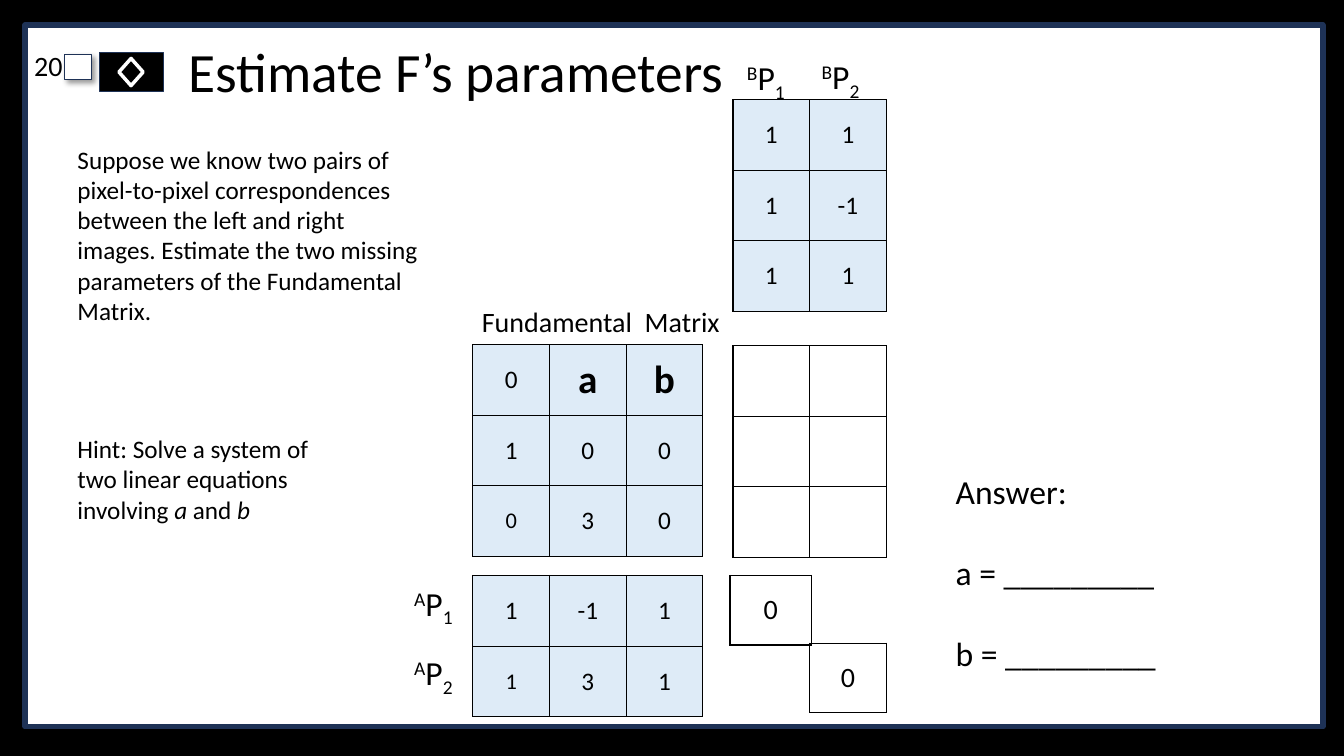
from lxml.etree import SubElement
from pptx import Presentation
from pptx.dml.color import RGBColor
from pptx.enum.shapes import MSO_SHAPE as Shape
from pptx.enum.text import MSO_ANCHOR as Anchor, MSO_AUTO_SIZE as AutoSize, PP_ALIGN as Align
from pptx.oxml.ns import qn
from pptx.util import Inches, Pt

BLACK, WHITE, NAVY, PALE = "000000", "FFFFFF", "1E3256", "DEEBF7"
FONT = "Calibri"
CELL_WIDTH, CELL_HEIGHT = 0.76, 0.7
LEFT_GRID, RIGHT_GRID = 4.69, 7.27
TOP_GRID, MIDDLE_GRID, BOTTOM_GRID = 0.99, 3.42, 5.71

# kind, (left, top, width, height), fill, line colour, line width
FRAME = [
    (Shape.RECTANGLE, (0.25, 0.25, 12.87, 6.96), WHITE, NAVY, 4),
    (Shape.RECTANGLE, (0.99, 0.52, 0.63, 0.39), BLACK, NAVY, 1),
    (Shape.DIAMOND, (1.18, 0.58, 0.24, 0.27), BLACK, WHITE, 2.5),
]
CHECKBOX = (Shape.RECTANGLE, (0.64, 0.54, 0.27, 0.25), WHITE, NAVY, 1)

# place, lines of runs (text, style), size, wraps
TEXTS = [
    ((4.68, 2.97, 2.59, 0.44), [[("Fundamental  Matrix", "")]], 20, False),
    ((0.67, 1.38, 3.61, 1.92), [[(
        "Suppose we know two pairs of pixel-to-pixel correspondences between "
        "the left and right images. Estimate the two missing parameters of "
        "the Fundamental Matrix.", "")]], 18, True),
    ((0.67, 4.25, 2.69, 1.01), [[
        ("Hint: Solve a system of two linear equations involving ", ""),
        ("a", "italic"), (" and ", ""), ("b", "italic")]], 18, True),
]
ANSWER = [[("Answer:", "")], [("a = _________", "")], [("b = _________", "")]]

# image, point, left, top
POINTS = [("A", "1", 4.01, 5.73), ("A", "2", 4.01, 6.42),
          ("B", "1", 7.31, 0.52), ("B", "2", 8.05, 0.51)]

# left, top, rows, fill, size, column width
MATRICES = [
    (LEFT_GRID, MIDDLE_GRID, ["0 a b", "1 0 0", "0 3 0"], PALE, 18, CELL_WIDTH),
    (RIGHT_GRID, MIDDLE_GRID + 0.01, [" ", " ", " "], None, 18, CELL_WIDTH),
    (RIGHT_GRID, TOP_GRID, ["1 1", "1 -1", "1 1"], PALE, 18, CELL_WIDTH),
    (LEFT_GRID, BOTTOM_GRID, ["1 -1 1", "1 3 1"], PALE, 18, CELL_WIDTH),
    (7.24, BOTTOM_GRID, ["0"], None, 20, 0.81),
    (RIGHT_GRID + CELL_WIDTH, 6.38, ["0"], None, 20, CELL_WIDTH),
]


def color(value):
    return RGBColor.from_string(value)


def inches(place):
    return [Inches(length) for length in place]


def style_font(font, size):
    font.name, font.size = FONT, Pt(size)
    font.color.rgb = color(BLACK)


def add_figure(page, kind, place, fill, line, width):
    figure = page.shapes.add_shape(kind, *inches(place))
    figure.shadow.inherit = False
    figure.fill.solid()
    figure.fill.fore_color.rgb = color(fill)
    figure.line.color.rgb = color(line)
    figure.line.width = Pt(width)
    return figure


def drop_shadow(figure):
    effects = figure.element.spPr.find(qn("a:effectLst"))
    shadow = SubElement(effects, qn("a:outerShdw"), blurRad=str(Pt(4)),
                        dist=str(Pt(3)), dir="2700000", algn="tl", rotWithShape="0")
    tint = SubElement(shadow, qn("a:srgbClr"), val=BLACK)
    SubElement(tint, qn("a:alpha"), val="40000")


def add_text(page, place, lines, size, wraps=True, gap=0):
    """Add lines of (text, style) runs; a style is italic or a baseline shift."""
    box = page.shapes.add_textbox(*inches(place))
    frame = box.text_frame
    frame.word_wrap = wraps
    frame.auto_size = AutoSize.SHAPE_TO_FIT_TEXT
    for number, line in enumerate(lines):
        para = frame.add_paragraph() if number else frame.paragraphs[0]
        if number:
            para.space_before = Pt(gap)
        for text, style in line:
            span = para.add_run()
            span.text = text
            style_font(span.font, size)
            if style == "italic":
                span.font.italic = True
            elif style:
                span.font._element.set("baseline", style)
    return box


def outline_cell(cell):
    for side in ("a:lnL", "a:lnR", "a:lnT", "a:lnB"):
        border = SubElement(cell._tc.get_or_add_tcPr(), qn(side), w=str(Pt(1)))
        SubElement(SubElement(border, qn("a:solidFill")), qn("a:srgbClr"), val=BLACK)


def add_matrix(page, left, top, rows, fill, size, width):
    grid = [row.split(" ") for row in rows]
    columns = len(grid[0])
    place = (left, top, columns * width, len(grid) * CELL_HEIGHT)
    table = page.shapes.add_table(len(grid), columns, *inches(place)).table
    table.first_row = table.horz_banding = False
    for column in table.columns:
        column.width = Inches(width)
    for row, values in enumerate(grid):
        for column, value in enumerate(values):
            cell = table.cell(row, column)
            outline_cell(cell)
            if fill:
                cell.fill.solid()
                cell.fill.fore_color.rgb = color(fill)
            else:
                cell.fill.background()
            cell.vertical_anchor = Anchor.MIDDLE
            para = cell.text_frame.paragraphs[0]
            para.text = value
            para.alignment = Align.CENTER
            unknown = value.isalpha()
            for span in para.runs:
                style_font(span.font, 28 if unknown else size)
                span.font.bold = unknown
    return table


def main():
    deck = Presentation()
    deck.slide_width, deck.slide_height = Inches(13.33), Inches(7.5)
    page = deck.slides.add_slide(deck.slide_layouts[6])
    page.background.fill.solid()
    page.background.fill.fore_color.rgb = color(BLACK)

    for figure in FRAME:
        add_figure(page, *figure)
    drop_shadow(add_figure(page, *CHECKBOX))

    number = add_text(page, (-0.02, 0.47, 0.74, 0.45), [[("20", "")]], 20)
    number.text_frame.paragraphs[0].alignment = Align.RIGHT
    title = add_text(page, (1.77, 0.4, 10.65, 0.68),
                     [[("Estimate F’s parameters", "")]], 39.6)
    title.text_frame.auto_size = AutoSize.NONE
    title.text_frame.vertical_anchor = Anchor.MIDDLE
    for box in (number, title):
        box.text_frame.paragraphs[0].line_spacing = 0.9

    matrices = [add_matrix(page, *matrix) for matrix in MATRICES]
    for matrix, row in ((matrices[0], 2), (matrices[3], 1)):
        matrix.cell(row, 0).text_frame.paragraphs[0].runs[0].font.size = Pt(16)
    for corner in matrices[4:]:
        corner.rows[0].height = Inches(0.69)

    for text in TEXTS:
        add_text(page, *text)
    add_text(page, (9.38, 4.62, 2.2, 2.12), ANSWER, 24, False, gap=29)
    for image, point, left, top in POINTS:
        label = [(image, "30000"), ("P", ""), (point, "-25000")]
        add_text(page, (left, top, 0.62, 0.5), [label], 24, False)

    deck.save("out.pptx")


if __name__ == "__main__":
    main()
